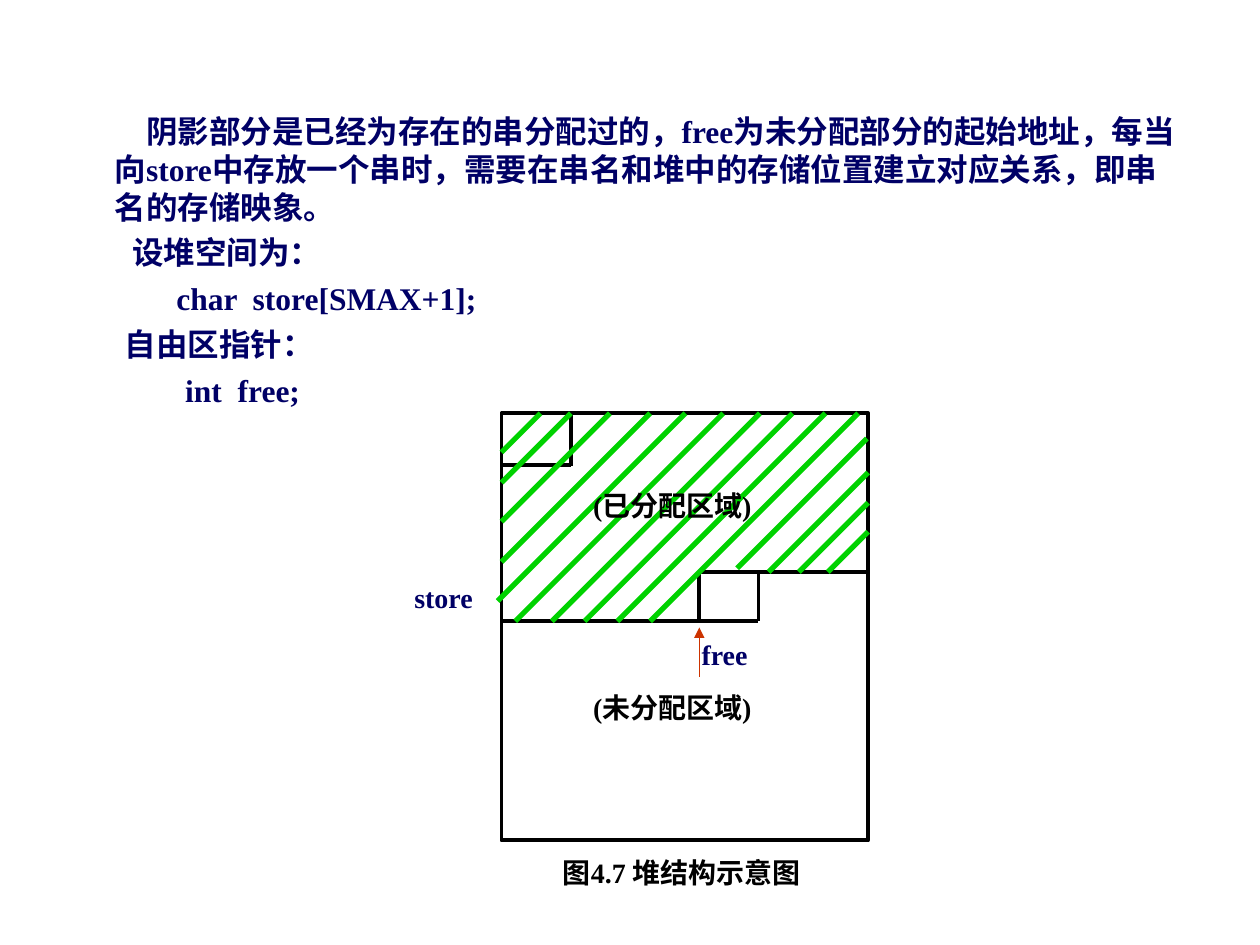
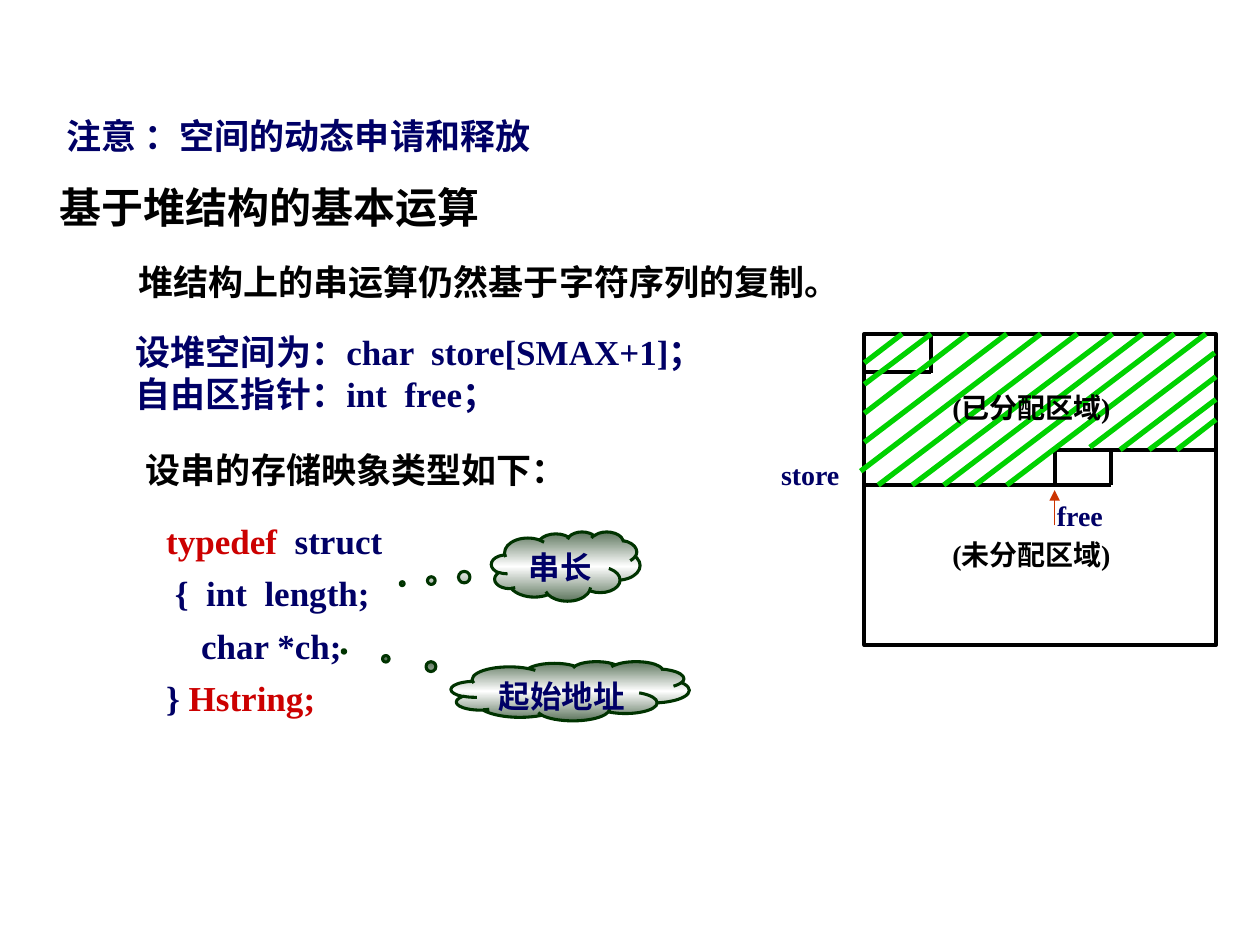
from copy import deepcopy
from typing import NamedTuple, Optional, Sequence

from pptx import Presentation
from pptx import util as u
from pptx.dml.color import RGBColor
from pptx.enum import shapes, text
from pptx.oxml.ns import qn
from pptx.oxml.xmlchemy import OxmlElement

PX = 9144  # 100 px to the inch

BLACK = RGBColor(0x00, 0x00, 0x00)
NAVY = RGBColor(0x00, 0x00, 0x66)
RED = RGBColor(0xCC, 0x00, 0x00)
HATCH_GREEN = RGBColor(0x00, 0xD2, 0x00)
ARROW_RED = RGBColor(0xCC, 0x33, 0x00)
CLOUD_LINE = RGBColor(0x00, 0x33, 0x00)
CLOUD_STOPS = (
    (0, RGBColor(0x5E, 0x76, 0x5E)),
    (0.5, RGBColor(0xFF, 0xFF, 0xFF)),
    (1, RGBColor(0x5E, 0x76, 0x5E)),
)
LATIN, CJK = "Times New Roman", "Noto Sans CJK JP"


class Box(NamedTuple):
    x: int
    y: int
    w: int
    h: int

    def emu(self) -> list[int]:
        return [v * PX for v in self]


class Style(NamedTuple):
    size: int
    color: RGBColor = BLACK
    before: float = 0
    spacing: Optional[float] = None
    latin: str = LATIN


class Span(NamedTuple):
    text: str
    color: RGBColor


class BodyLine(NamedTuple):
    text: str
    left: int
    indent: int = 0


class Note(NamedTuple):
    box: Box
    lines: Sequence[str]
    style: Style


class Cloud(NamedTuple):
    box: Box
    text: str
    tip: tuple[float, float]


class Segment(NamedTuple):
    x1: int
    y1: int
    x2: int
    y2: int


class Hatch(NamedTuple):
    """A 45 degree stroke that runs down and left from (x, y)."""
    x: int
    y: int
    run: int

    def segment(self) -> Segment:
        return Segment(self.x, self.y, self.x - self.run, self.y + self.run)


# Heap diagram, measured from the top left corner of its frame
HEAP_W, HEAP_H = 291, 339
USED_H, FREE_Y, FREE_X = 165, 126, 157
HEAP_WALLS = (
    Segment(55, 0, 55, 42),
    Segment(0, 41, 55, 41),
    Segment(0, USED_H, FREE_X, USED_H),
    Segment(FREE_X, FREE_Y, FREE_X, USED_H),
    Segment(FREE_X, FREE_Y, HEAP_W, FREE_Y),
    Segment(149, USED_H, 204, USED_H),
    Segment(204, FREE_Y, 204, USED_H),
)
HEAP_HATCHES = (
    *(Hatch(x, 0, min(x, USED_H)) for x in (31, 55, 86, 118)),
    Hatch(146, 0, 149),
    *(Hatch(x, 0, USED_H) for x in (176, 205, 231, 257, 283)),
    Hatch(290, 20, 103),
    *(Hatch(HEAP_W, y, FREE_Y - y) for y in (47, 71, 94)),
)
FREE_ARROW = Segment(FREE_X, 209, FREE_X, 170)
LABEL, POINTER = Style(16), Style(16, NAVY)
HEAP_LABELS = (
    Note(Box(63, 55, 173, 37), ["(已分配区域)"], LABEL),
    Note(Box(63, 215, 173, 37), ["(未分配区域)"], LABEL),
    Note(Box(149, 173, 63, 37), ["free"], POINTER),
    Note(Box(-79, 128, 71, 37), ["store"], POINTER),
)

BODY_LINES = (
    BodyLine("阴影部分是已经为存在的串分配过的，free为未分配部分的起始地址，每当向store中存放一个串时，"
             "需要在串名和堆中的存储位置建立对应关系，即串名的存储映象。", 38, 25),
    BodyLine("设堆空间为：", 52),
    BodyLine("char  store[SMAX+1];", 87),
    BodyLine("自由区指针：", 46),
    BodyLine("int  free;", 94),
)
CAPTION = Note(Box(437, 674, 236, 37), ["图4.7 堆结构示意图"], LABEL)

HEADING = Note(Box(37, 139, 370, 50), ["基于堆结构的基本运算"], Style(24))
NOTES = (
    Note(Box(43, 76, 425, 54), ["注意 ：空间的动态申请和释放"],
         Style(20, NAVY, spacing=1.3, latin=CJK)),
    Note(Box(100, 202, 600, 44), ["堆结构上的串运算仍然基于字符序列的复制。"], Style(20)),
    Note(Box(98, 257, 500, 77),
         ["设堆空间为：char  store[SMAX+1]；", "自由区指针：int  free；"], Style(20, NAVY)),
    Note(Box(106, 351, 380, 44), ["设串的存储映象类型如下："], Style(20)),
)
CODE_BOX = Box(122, 399, 418, 177)
CODE = (
    [Span("typedef  ", RED), Span("struct", NAVY)],
    [Span(" {  int  length;", NAVY)],
    [Span("    char *ch;", NAVY)],
    [Span("} ", NAVY), Span("Hstring;", RED)],
)
CLOUDS = (
    Cloud(Box(390, 422, 118, 55), "串长", (-1.1, 0.25)),
    Cloud(Box(358, 525, 189, 47), "起始地址", (-0.95, -0.67)),
)


def format_run(r, style: Style, color: RGBColor) -> None:
    r.font.size, r.font.bold = u.Pt(style.size), True
    r.font.color.rgb = color
    r.font.name = style.latin
    ea = OxmlElement("a:ea")
    ea.set("typeface", CJK)
    r.font._element.find(qn("a:latin")).addnext(ea)


def format_text(tf, style: Style, align=text.PP_ALIGN.LEFT) -> None:
    tf.word_wrap = True
    tf.auto_size = text.MSO_AUTO_SIZE.NONE
    tf.vertical_anchor = text.MSO_ANCHOR.TOP
    for i, p in enumerate(tf.paragraphs):
        p.alignment = align
        p.space_before = u.Pt(style.before if i else 0)
        if style.spacing:
            p.line_spacing = style.spacing
        for r in p.runs:
            format_run(r, style, style.color)


def add_note(parent, note: Note) -> None:
    tf = parent.add_textbox(*note.box.emu()).text_frame
    tf.text = "\n".join(note.lines)
    format_text(tf, note.style)


def place(sp, box: Box) -> None:
    sp.left, sp.top, sp.width, sp.height = box.emu()


def add_line(parent, seg: Segment, color: RGBColor, width: float, arrow: bool = False) -> None:
    line = parent.add_connector(shapes.MSO_CONNECTOR.STRAIGHT, *(v * PX for v in seg))
    line.line.color.rgb = color
    line.line.width = u.Pt(width)
    sp_pr = line._element.spPr
    if arrow:
        tail = OxmlElement("a:tailEnd")
        tail.set("type", "triangle")
        sp_pr.find(qn("a:ln")).append(tail)
    sp_pr.append(OxmlElement("a:effectLst"))


def add_heap(s, frame: Box) -> None:
    """Draws the heap diagram stretched to the given frame."""
    group = s.shapes.add_group_shape().shapes

    def fit_x(x: int) -> int:
        return frame.x + round(x * frame.w / HEAP_W)

    def fit_y(y: int) -> int:
        return frame.y + round(y * frame.h / HEAP_H)

    def fit(seg: Segment) -> Segment:
        return Segment(fit_x(seg.x1), fit_y(seg.y1), fit_x(seg.x2), fit_y(seg.y2))

    sp = group.add_shape(shapes.MSO_SHAPE.RECTANGLE, *frame.emu())
    sp.shadow.inherit = False
    sp.fill.background()
    sp.line.color.rgb = BLACK
    sp.line.width = u.Pt(2.25)
    for wall in HEAP_WALLS:
        add_line(group, fit(wall), BLACK, 2.25)
    for hatch in HEAP_HATCHES:
        add_line(group, fit(hatch.segment()), HATCH_GREEN, 3)
    add_line(group, fit(FREE_ARROW), ARROW_RED, 0.75, arrow=True)
    for label in HEAP_LABELS:
        x, y, w, h = label.box
        box = Box(fit_x(x), fit_y(y), round(w * frame.w / HEAP_W), h)
        add_note(group, label._replace(box=box))


def add_cloud(s, cloud: Cloud) -> None:
    sp = s.shapes.add_shape(shapes.MSO_SHAPE.CLOUD_CALLOUT, *cloud.box.emu())
    sp.shadow.inherit = False
    sp.adjustments[0], sp.adjustments[1] = cloud.tip
    sp.fill.gradient()
    sp.fill.gradient_angle = 90
    stops = sp._element.spPr.find(".//" + qn("a:gsLst"))
    stops.append(deepcopy(stops[0]))
    for stop, (position, color) in zip(sp.fill.gradient_stops, CLOUD_STOPS):
        stop.position = position
        stop.color.rgb = color
    sp.line.color.rgb = CLOUD_LINE
    sp.line.width = u.Pt(1.75)
    sp.text_frame.text = cloud.text
    format_text(sp.text_frame, Style(18, NAVY), text.PP_ALIGN.CENTER)


def add_body(sp) -> None:
    place(sp, Box(43, 84, 900, 495))
    tf = sp.text_frame
    tf.text = "\n".join(line.text for line in BODY_LINES)
    for p, line in zip(tf.paragraphs, BODY_LINES):
        p_pr = p._p.get_or_add_pPr()
        p_pr.set("marL", str(line.left * PX))
        p_pr.set("indent", str(line.indent * PX))
        p_pr.append(OxmlElement("a:buNone"))
    format_text(tf, Style(18, NAVY, before=4.5))


def add_code(s) -> None:
    tf = s.shapes.add_textbox(*CODE_BOX.emu()).text_frame
    for i, spans in enumerate(CODE):
        p = tf.add_paragraph() if i else tf.paragraphs[0]
        for span in spans:
            p.add_run().text = span.text
    style = Style(20, NAVY, spacing=1.25)
    format_text(tf, style)
    for p, spans in zip(tf.paragraphs, CODE):
        for r, span in zip(p.runs, spans):
            r.font.color.rgb = span.color


def heap_structure(prs) -> None:
    s = prs.slides.add_slide(prs.slide_layouts[1])
    title = s.shapes.title._element
    title.getparent().remove(title)
    add_body(s.placeholders[1])
    add_heap(s, Box(398, 328, HEAP_W, HEAP_H))
    add_note(s.shapes, CAPTION)


def heap_operations(prs) -> None:
    s = prs.slides.add_slide(prs.slide_layouts[5])
    title = s.shapes.title
    place(title, HEADING.box)
    title.text_frame.text = HEADING.lines[0]
    format_text(title.text_frame, HEADING.style)
    for note in NOTES:
        add_note(s.shapes, note)
    add_code(s)
    for cloud in CLOUDS:
        add_cloud(s, cloud)
    add_heap(s, Box(686, 265, 279, 247))


def main() -> None:
    prs = Presentation()
    prs.slide_width, prs.slide_height = 1000 * PX, 750 * PX
    heap_structure(prs)
    heap_operations(prs)
    prs.save("out.pptx")


if __name__ == "__main__":
    main()
